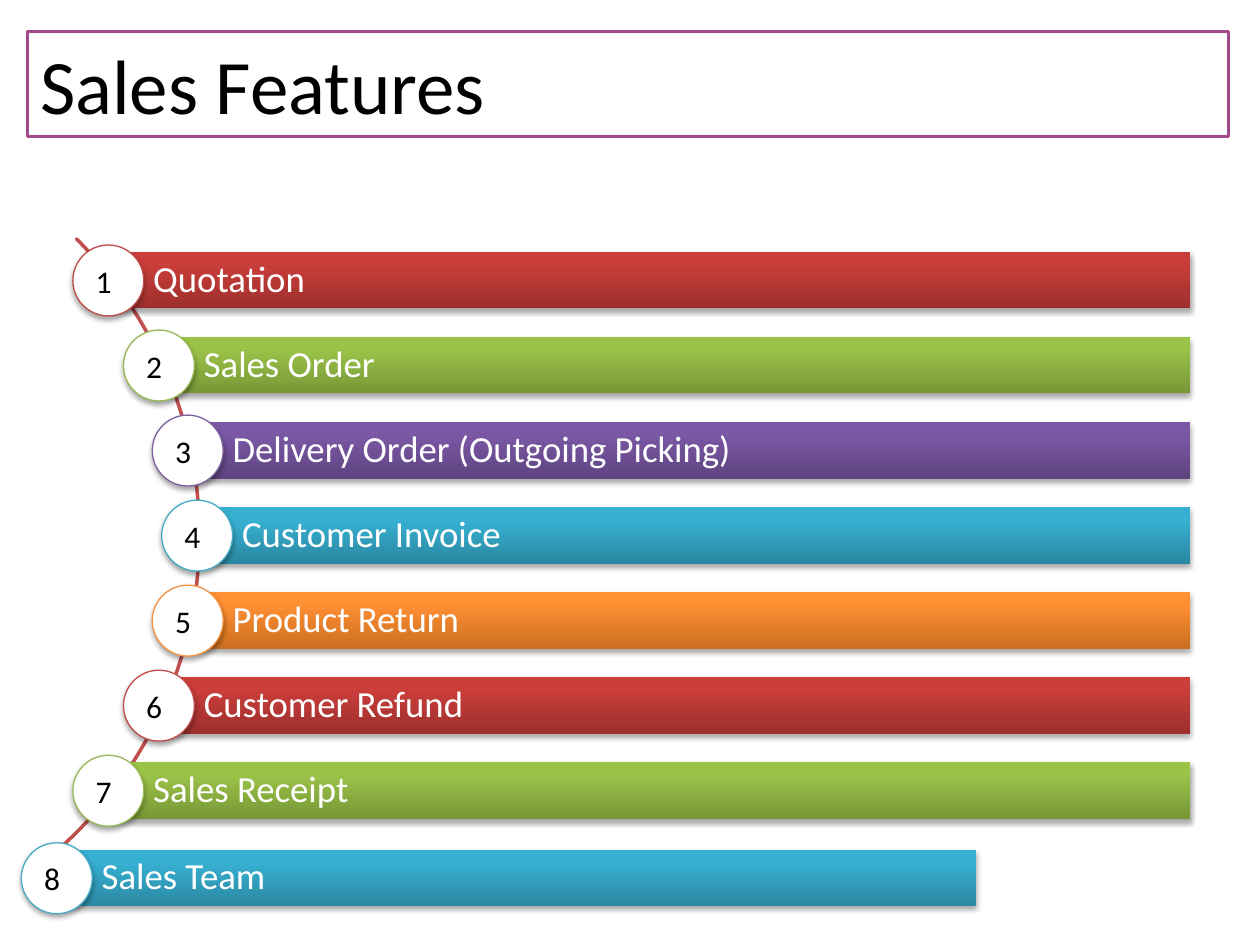
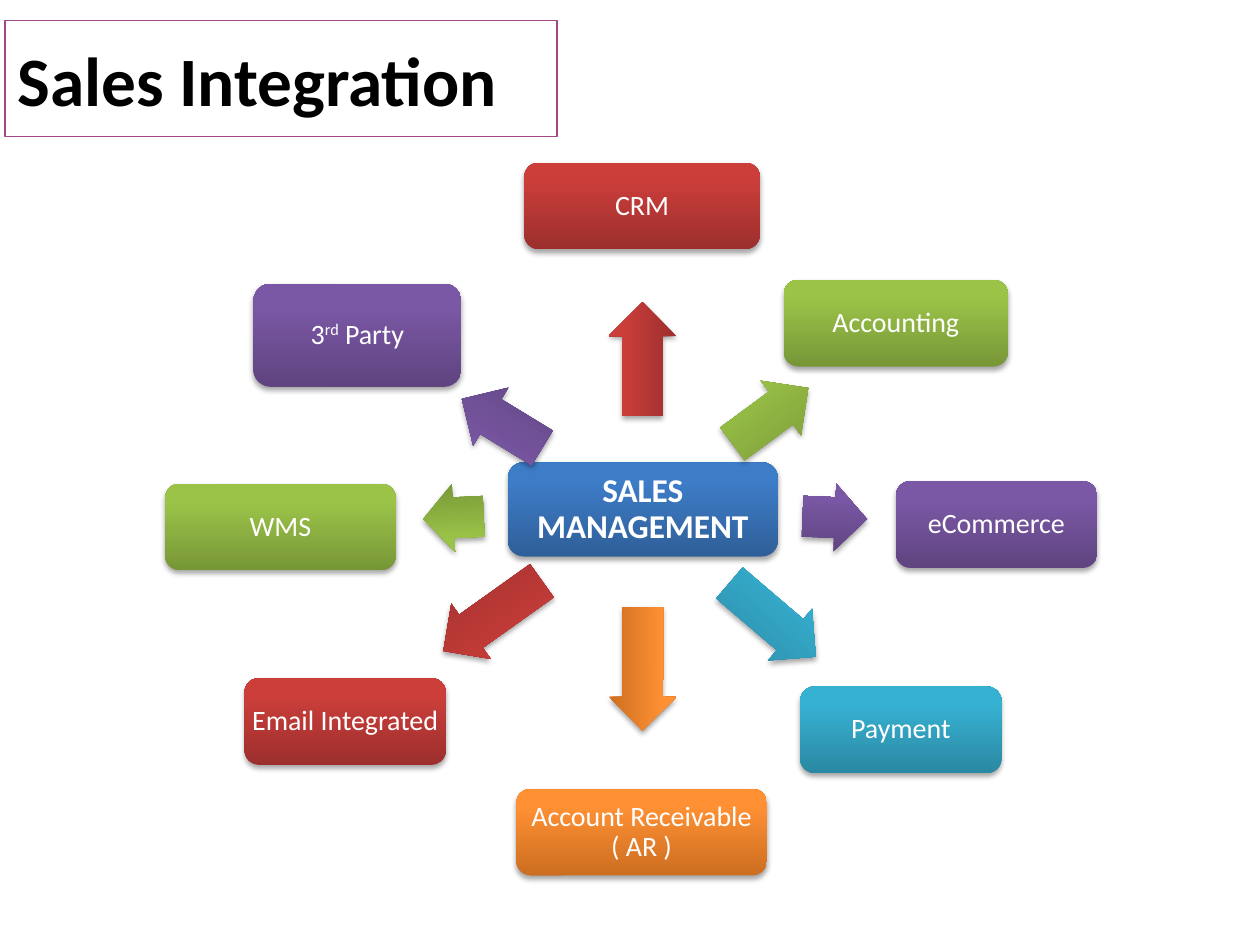
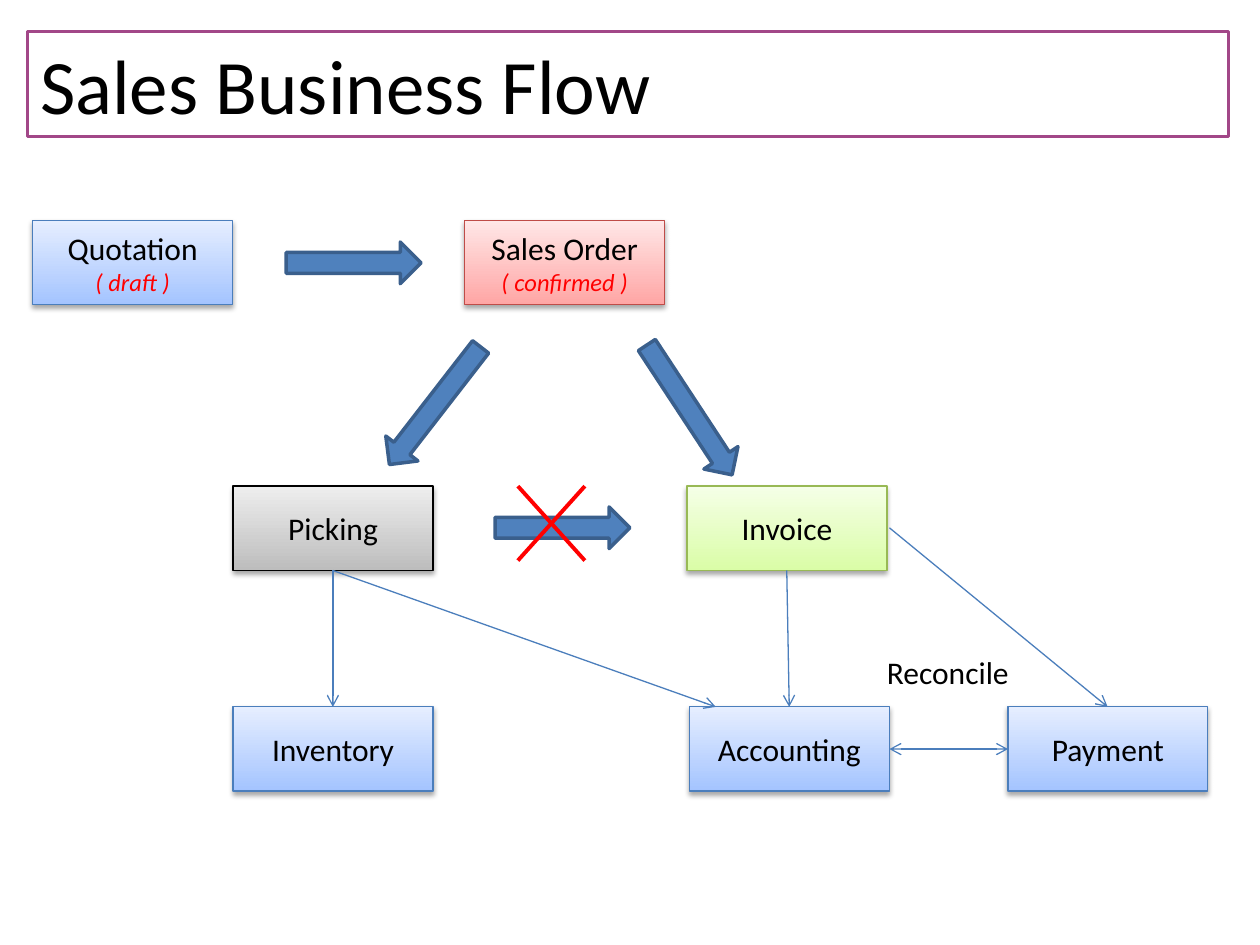
"""Build three slides on sales: features, integration and business flow."""
import lxml.etree
import pptx
import pptx.dml.color
import pptx.enum.shapes
import pptx.enum.text
import pptx.oxml.ns
import pptx.util

Cm = pptx.util.Cm
Pt = pptx.util.Pt
qn = pptx.oxml.ns.qn
rgb = pptx.dml.color.RGBColor.from_string
SHAPE = pptx.enum.shapes.MSO_SHAPE
STRAIGHT = pptx.enum.shapes.MSO_CONNECTOR.STRAIGHT
ALIGN = pptx.enum.text.PP_ALIGN
MIDDLE = pptx.enum.text.MSO_ANCHOR.MIDDLE


class Theme:
    """Colours as RRGGBB, gradients as (bottom, top, top position), sizes in points."""
    font = "Calibri"
    white, black, alert = "FFFFFF", "000000", "FF0000"
    title_line, arc = "A24788", "C0504D"
    arrow, arrow_line, link = "4F81BD", "3A5F8C", "4B7EBC"
    fills = {
        "red": ("9C2F2D", "CB3E3A", 0.8),
        "green": ("779737", "9BC348", 0.8),
        "purple": ("5F4480", "7B58A6", 0.8),
        "teal": ("2A88A2", "37B1D2", 0.8),
        "orange": ("CC6E20", "FF9034", 0.8),
        "blue": ("2F5F99", "3D7CC7", 0.8),
        "pale blue": ("A4C4FF", "E6EEFF", 1),
        "pale red": ("FFA6A5", "FFE7E7", 1),
        "pale grey": ("BDBDBD", "EEEEEE", 1),
        "pale green": ("DAFDA7", "F5FFE7", 1),
    }
    lines = {
        "red": "BF4C48", "green": "98B955", "purple": "7D60A0", "teal": "46AAC5",
        "orange": "F69240", "pale blue": "4B7EBC", "pale red": "BF4C48",
        "pale grey": "000000", "pale green": "98B955",
    }
    title, title_small = 44, 39.6
    bar, hub, node, body, remark = 21, 19, 16, 18, 14
    thin, thick, cross = 0.75, 2, 2.25


def add_shape(slide, kind, box, fill, line=None, weight=Theme.thin, shadow=True):
    shape = slide.shapes.add_shape(kind, *[Cm(length) for length in box])
    if fill is None:
        shape.fill.background()
    elif fill in Theme.fills:
        bottom, top, top_position = Theme.fills[fill]
        shape.fill.gradient()
        shape.fill.gradient_angle = 90
        first, last = shape.fill.gradient_stops
        first.color.rgb, last.color.rgb = rgb(bottom), rgb(top)
        last.position = top_position
    else:
        shape.fill.solid()
        shape.fill.fore_color.rgb = rgb(fill)
    if line:
        shape.line.color.rgb = rgb(line)
        shape.line.width = Pt(weight)
    else:
        shape.line.fill.background()
    shape.shadow.inherit = False
    if shadow:
        effects = shape._element.spPr.find(qn("a:effectLst"))
        outer = lxml.etree.SubElement(
            effects, qn("a:outerShdw"), blurRad=str(Pt(3.1)), dist=str(Pt(1.8)),
            dir="5400000", rotWithShape="0")
        color = lxml.etree.SubElement(outer, qn("a:srgbClr"), val=Theme.black)
        lxml.etree.SubElement(color, qn("a:alpha"), val="35000")
    return shape


def write(shape, text, size, color=Theme.black, align=ALIGN.CENTER, margin=None,
          spacing=None, bold=False):
    frame = shape.text_frame
    frame.vertical_anchor = MIDDLE
    if margin is not None:
        frame.margin_left = frame.margin_right = Cm(margin)
        frame.margin_top = frame.margin_bottom = Cm(margin)
    paragraph = frame.paragraphs[0]
    paragraph.text = text
    paragraph.alignment = align
    paragraph.line_spacing = spacing
    paragraph.font.name = Theme.font
    paragraph.font.size = Pt(size)
    paragraph.font.bold = bold
    paragraph.font.color.rgb = rgb(color)
    return paragraph


presentation = pptx.Presentation()
presentation.slide_width, presentation.slide_height = Cm(25.4), Cm(19.05)

wide_title = (0.56, 0.64, 24.21, 2.11)
titles = [
    ("Sales Features", wide_title, Theme.title, False, Theme.thick),
    ("Sales Integration", (0.1, 0.42, 11.13, 2.34), Theme.title_small, True, Theme.thin),
    ("Sales Business Flow", wide_title, Theme.title, False, Theme.thick),
]
slides = []
for title, box, size, bold, weight in titles:
    slide = presentation.slides.add_slide(presentation.slide_layouts[6])
    shape = add_shape(slide, SHAPE.RECTANGLE, box, Theme.white, Theme.title_line, weight, False)
    write(shape, title, size, align=ALIGN.LEFT, bold=bold)
    slides.append(slide)
features, integration, flow = slides

arc = add_shape(features, SHAPE.BLOCK_ARC, (-12.9, 2.34, 16.92, 16.92), None,
                Theme.arc, Theme.thick, False)
for index, value in enumerate((189, 30.9, 0)):
    arc.adjustments[index] = value

bars = [
    ("Quotation", "red", 2.18, 24),
    ("Sales Order", "green", 3.2, 24),
    ("Delivery Order (Outgoing Picking)", "purple", 3.78, 24),
    ("Customer Invoice", "teal", 3.97, 24),
    ("Product Return", "orange", 3.78, 24),
    ("Customer Refund", "red", 3.2, 24),
    ("Sales Receipt", "green", 2.18, 24),
    ("Sales Team", "teal", 1.14, 19.68),
]
bar_tops = [5.08 + 12 / 7 * row for row in range(7)] + [17.13]
for number, ((label, color, left, right), top) in enumerate(zip(bars, bar_tops), 1):
    bar = add_shape(features, SHAPE.RECTANGLE, (left, top, right - left, 1.14), color)
    write(bar, label, Theme.bar, Theme.white, ALIGN.LEFT, 0.15, 0.9)
    bar.text_frame.margin_left = Cm(0.91)
    badge = add_shape(features, SHAPE.OVAL, (left - 0.71, top - 0.14, 1.43, 1.43),
                      Theme.white, Theme.lines[color])
    write(badge, str(number), Theme.body, align=ALIGN.LEFT)

hub = add_shape(integration, SHAPE.ROUNDED_RECTANGLE, (10.24, 9.32, 5.44, 1.9), "blue")
write(hub, "SALES MANAGEMENT", Theme.hub, Theme.white, margin=0.08, spacing=0.9, bold=True)

nodes = [
    ("CRM", "red", (10.57, 3.28, 4.75, 1.75), (11.81, 6.55, 2.29), 270),
    ("Accounting", "green", (15.8, 5.64, 4.52, 1.75), (14.58, 7.7, 1.9), 323.6),
    ("eCommerce", "purple", (18.06, 9.7, 4.06, 1.75), (16.18, 9.75, 1.3), 2.5),
    ("Payment", "teal", (16.13, 13.84, 4.06, 1.75), (14.43, 11.81, 2.29), 40.5),
    ("Account Receivable\v( AR )", "orange", (10.41, 15.9, 5.05, 1.75), (11.71, 12.8, 2.49), 90.2),
    ("Email Integrated", "red", (4.93, 13.67, 4.06, 1.75), (8.71, 11.73, 2.44), 144.5),
    ("WMS", "green", (3.33, 9.75, 4.65, 1.75), (8.53, 9.75, 1.22), 177.3),
    ("3", "purple", (5.11, 5.72, 4.19, 2.08), (9.17, 7.85, 1.9), 211.4),
]
for label, color, box, (left, top, length), rotation in nodes:
    arrow = add_shape(integration, SHAPE.RIGHT_ARROW, (left, top, length, 1.37), color)
    arrow.adjustments[0], arrow.adjustments[1] = 0.6, 0.5
    arrow.rotation = rotation
    node = add_shape(integration, SHAPE.ROUNDED_RECTANGLE, box, color)
    paragraph = write(node, label, Theme.node, Theme.white, margin=0.05, spacing=0.9)
ordinal = paragraph.add_run()
ordinal.text = "rd"
ordinal._r.get_or_add_rPr().set("baseline", "30000")
paragraph.add_run().text = " Party"

steps = [
    ("Quotation", "( draft )", "pale blue", 0.66, 4.44),
    ("Sales Order", "( confirmed )", "pale red", 9.37, 4.44),
    ("Picking", None, "pale grey", 4.7, 9.8),
    ("Invoice", None, "pale green", 13.85, 9.8),
    ("Inventory", None, "pale blue", 4.7, 14.25),
    ("Accounting", None, "pale blue", 13.9, 14.25),
    ("Payment", None, "pale blue", 20.32, 14.25),
]
boxes = {}
for label, remark, color, left, top in steps:
    boxes[label] = add_shape(flow, SHAPE.RECTANGLE, (left, top, 4.03, 1.7), color,
                             Theme.lines[color])
    paragraph = write(boxes[label], label, Theme.body)
    if remark:
        paragraph.add_line_break()
        run = paragraph.add_run()
        run.text = remark
        run.font.size = Pt(Theme.remark)
        run.font.italic = True
        run.font.color.rgb = rgb(Theme.alert)

block_arrows = [
    (SHAPE.RIGHT_ARROW, (5.77, 4.88, 2.72, 0.84), 0),
    (SHAPE.DOWN_ARROW, (8.36, 6.68, 0.82, 3), 37.8),
    (SHAPE.DOWN_ARROW, (13.49, 6.7, 0.82, 3.13), 326.7),
    (SHAPE.RIGHT_ARROW, (9.98, 10.22, 2.72, 0.84), 0),
]
for kind, box, rotation in block_arrows:
    arrow = add_shape(flow, kind, box, Theme.arrow, Theme.arrow_line, Theme.thick, False)
    arrow.rotation = rotation

arrow_end, both_ends = ("a:tailEnd",), ("a:headEnd", "a:tailEnd")
links = [
    ((6.71, 11.5), (14.43, 14.25), Theme.link, Theme.thin, arrow_end),
    ((6.71, 11.5), (6.71, 14.25), Theme.link, Theme.thin, arrow_end),
    ((15.86, 11.5), (15.91, 14.25), Theme.link, Theme.thin, arrow_end),
    ((17.93, 10.64), (22.33, 14.25), Theme.link, Theme.thin, arrow_end),
    ((17.93, 15.1), (20.32, 15.1), Theme.link, Theme.thin, both_ends),
    ((10.44, 9.8), (11.79, 11.3), Theme.alert, Theme.cross, ()),
    ((11.79, 9.8), (10.44, 11.3), Theme.alert, Theme.cross, ()),
]
for start, end, color, weight, ends in links:
    connector = flow.shapes.add_connector(STRAIGHT, *[Cm(length) for length in start + end])
    connector.line.color.rgb = rgb(color)
    connector.line.width = Pt(weight)
    properties = connector._element.spPr
    for tag in ends:
        lxml.etree.SubElement(properties.find(qn("a:ln")), qn(tag), type="arrow")
    lxml.etree.SubElement(properties, qn("a:effectLst"))

reconcile = flow.shapes.add_textbox(Cm(17.63), Cm(13.03), Cm(3), Cm(1.02))
write(reconcile, "Reconcile", Theme.body, align=ALIGN.LEFT)

presentation.save("out.pptx")
